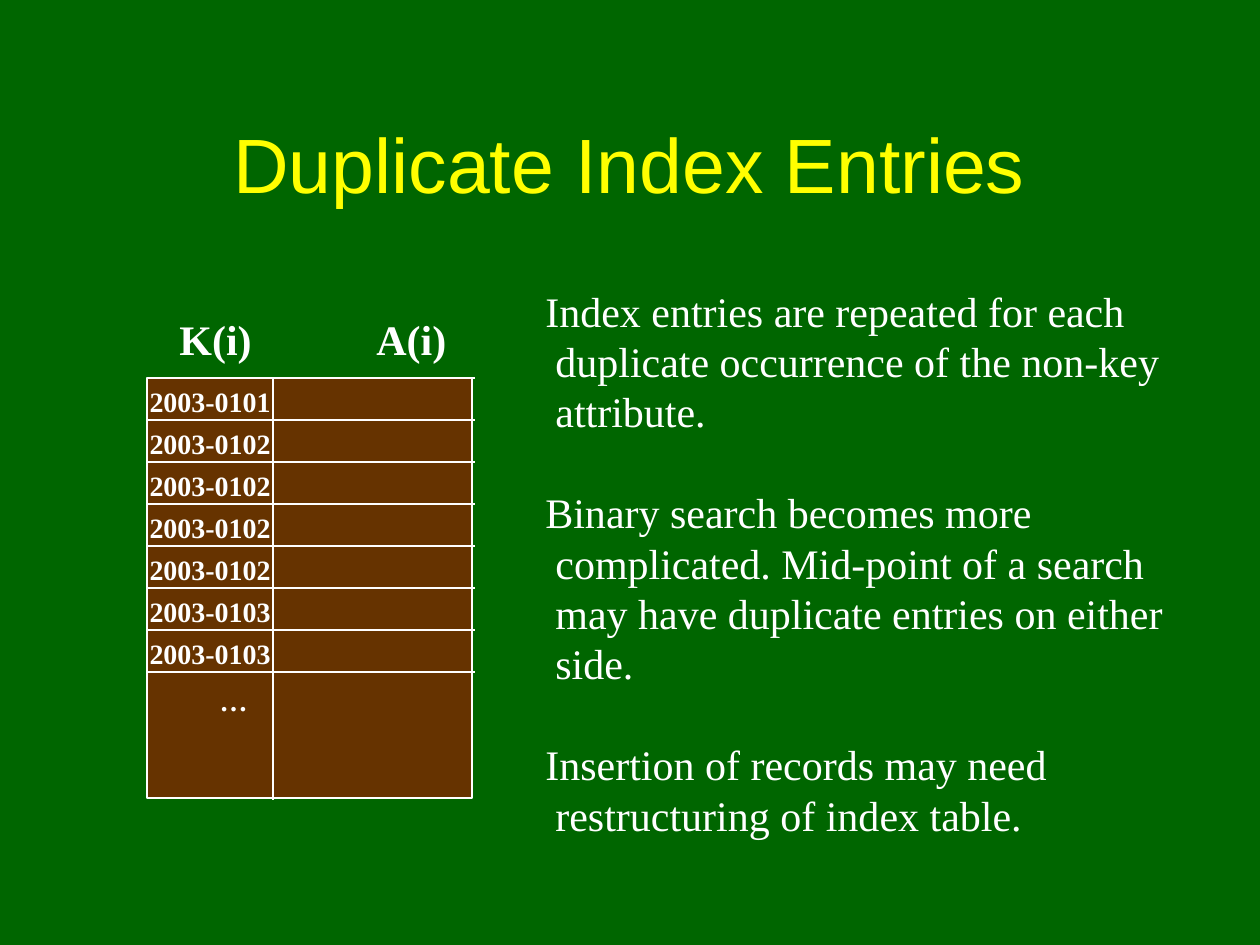
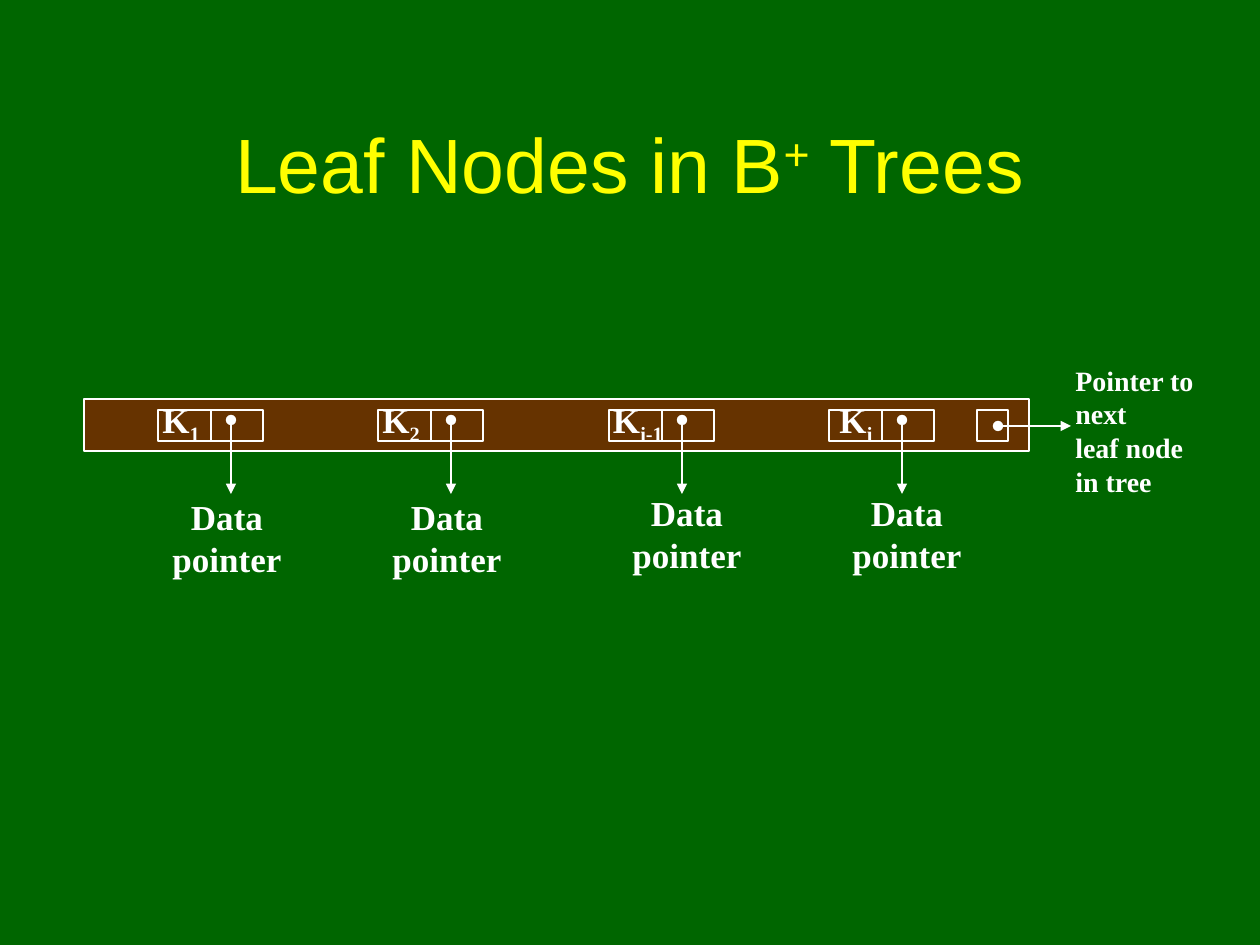
from dataclasses import dataclass

from lxml import etree
from pptx import Presentation
from pptx.dml.color import RGBColor
from pptx.enum.shapes import MSO_CONNECTOR, MSO_SHAPE
from pptx.enum.text import MSO_ANCHOR, PP_ALIGN
from pptx.oxml.ns import qn
from pptx.util import Pt

LEFT, CENTER = PP_ALIGN.LEFT, PP_ALIGN.CENTER
TOP, MIDDLE = MSO_ANCHOR.TOP, MSO_ANCHOR.MIDDLE
RECTANGLE, STRAIGHT = MSO_SHAPE.RECTANGLE, MSO_CONNECTOR.STRAIGHT
EMU_PER_PX = 914400 / 126


@dataclass(frozen=True)
class Theme:
    background = RGBColor(0x00, 0x66, 0x00)
    accent = RGBColor(0xFF, 0xFF, 0x00)
    ink = RGBColor(0xFF, 0xFF, 0xFF)
    node = RGBColor(0x66, 0x33, 0x00)
    title_font, body_font = "Arial", "Times New Roman"
    title_size, body_size, label_size, small_size = 44, 24, 20, 16
    line_width = Pt(0.75)
    leading = 1.2


theme = Theme()


def px(*lengths):
    return [round(length * EMU_PER_PX) for length in lengths]


def add_text(slide, box, text, size=theme.small_size, color=theme.ink,
             font=theme.body_font, bold=True, align=CENTER, anchor=MIDDLE,
             wrap=False, exact=True, baseline=0, gap=0, hanging=0, tab=0):
    """Write one paragraph per line; parts between ^ signs get the baseline shift."""
    frame = slide.shapes.add_textbox(*px(*box)).text_frame
    frame.word_wrap, frame.vertical_anchor = wrap, anchor
    for number, line in enumerate(text.split("\n")):
        paragraph = frame.add_paragraph() if number else frame.paragraphs[0]
        paragraph.alignment = align
        if exact:
            paragraph.line_spacing = Pt(size * theme.leading)
        if number and gap:
            paragraph.space_before = Pt(gap)
        properties = paragraph._p.get_or_add_pPr()
        if hanging:
            indent = px(hanging)[0]
            properties.set("marL", str(indent))
            properties.set("indent", str(-indent))
        if tab:
            tabs = etree.SubElement(properties, qn("a:tabLst"))
            etree.SubElement(tabs, qn("a:tab"), pos=str(px(tab)[0]), algn="l")
        for part_number, part in enumerate(line.split("^")):
            if not part:
                continue
            run = paragraph.add_run()
            run.text = part
            run.font.name, run.font.size, run.font.bold = font, Pt(size), bold
            run.font.color.rgb = color
            if part_number % 2:
                run._r.get_or_add_rPr().set("baseline", str(baseline))


presentation = Presentation()
presentation.slide_width, presentation.slide_height = px(1260, 945)

# Both slides: background and title
slides = []
for title in ("Duplicate Index Entries", "Leaf Nodes in B^+^ Trees"):
    slide = presentation.slides.add_slide(presentation.slide_layouts[6])
    slide.background.fill.solid()
    slide.background.fill.fore_color.rgb = theme.background
    add_text(slide, (94, 84, 1071, 158), title, size=theme.title_size,
             color=theme.accent, font=theme.title_font, bold=False,
             wrap=True, exact=False, baseline=30000)
    slides.append(slide)
index_slide, leaf_slide = slides

# Index table and leaf node geometry
index_keys = ["2003-0101"] + ["2003-0102"] * 4 + ["2003-0103"] * 2
index_top, row_height = 378, 42
slot_top, slot_height = 410, 31
key_width = 100

# slot left, key, key centre offset, label offset and top
leaf_slots = [
    (158, "K^1^", 23, 2, 489),
    (378, "K^2^", 23, 2, 489),
    (609, "K^i-1^", 29, 11, 485),
    (829, "K^i^", 27, 11, 485),
]

# Boxes
boxes = [
    (index_slide, (147, index_top, 325, 420), True),
    (leaf_slide, (84, 399, 945, 52), True),
    (leaf_slide, (977, slot_top, slot_height, slot_height), True),
]
boxes += [(leaf_slide, (slot[0], slot_top, 105, slot_height), False)
          for slot in leaf_slots]
for slide, box, filled in boxes:
    shape = slide.shapes.add_shape(RECTANGLE, *px(*box))
    shape.shadow.inherit = False
    shape.line.color.rgb, shape.line.width = theme.ink, theme.line_width
    if filled:
        shape.fill.solid()
        shape.fill.fore_color.rgb = theme.node
    else:
        shape.fill.background()

# Rules, dividers and pointers
lines = [(index_slide, (148, y, 475, y), False)
         for y in range(index_top, index_top + 8 * row_height, row_height)]
lines.append((index_slide, (273, index_top, 273, 800), False))
for left, *_ in leaf_slots:
    divider, pointer = left + 53, left + 73
    lines.append((leaf_slide, (divider, slot_top, divider, slot_top + slot_height), False))
    lines.append((leaf_slide, (pointer, 420, pointer, 494), True))
lines.append((leaf_slide, (998, 426, 1071, 426), True))
for slide, ends, is_pointer in lines:
    connector = slide.shapes.add_connector(STRAIGHT, *px(*ends))
    connector.line.color.rgb, connector.line.width = theme.ink, theme.line_width
    if is_pointer:
        outline = connector.line._get_or_add_ln()
        etree.SubElement(outline, qn("a:headEnd"), type="oval")
        etree.SubElement(outline, qn("a:tailEnd"), type="triangle")
    etree.SubElement(connector._element.spPr, qn("a:effectLst"))

# Slide 1 text
add_text(index_slide, (167, 307, 310, 63), "K(i)\tA(i)",
         size=theme.body_size, align=LEFT, wrap=True, tab=197)
for row, key in enumerate(index_keys):
    add_text(index_slide, (130, index_top + row * row_height, 160, 47), key)
add_text(index_slide, (207, 677, 53, 47), "…")
add_text(index_slide, (533, 279, 655, 567),
         "Index entries are repeated for each duplicate occurrence of the non-key attribute.\n"
         "Binary search becomes more complicated. Mid-point of a search may have "
         "duplicate entries on either side.\n"
         "Insertion of records may need restructuring of index table.",
         size=theme.body_size, bold=False, align=LEFT, anchor=TOP, wrap=True,
         gap=theme.body_size * theme.leading, hanging=10)

# Slide 2 text
for left, key, key_offset, label_offset, label_top in leaf_slots:
    add_text(leaf_slide, (left + key_offset - key_width // 2, 395, key_width, 60), key,
             size=theme.label_size, wrap=True, baseline=-25000)
    add_text(leaf_slide, (left + label_offset, label_top, 134, 97), "Data\npointer",
             size=theme.label_size)
add_text(leaf_slide, (1063, 357, 150, 147), "Pointer to\nnext\nleaf node\nin tree",
         align=LEFT, wrap=True)

presentation.save("out.pptx")
